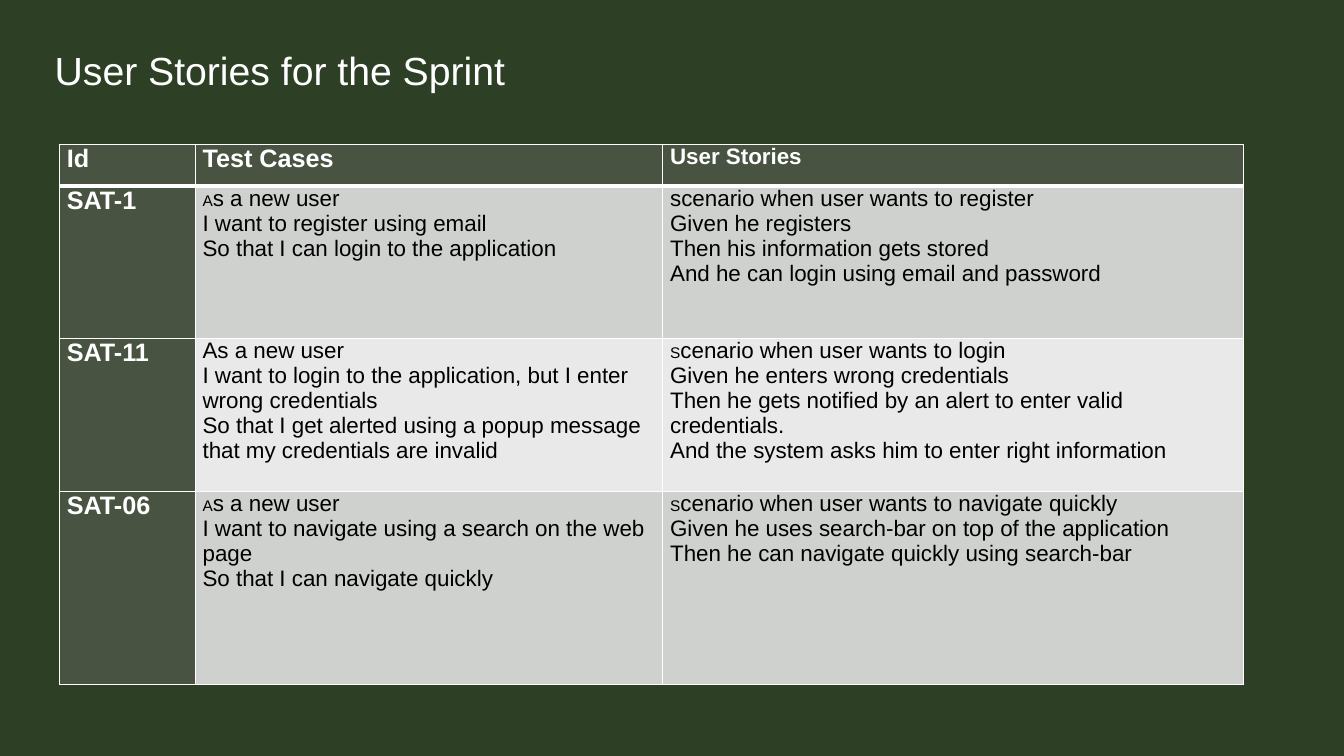
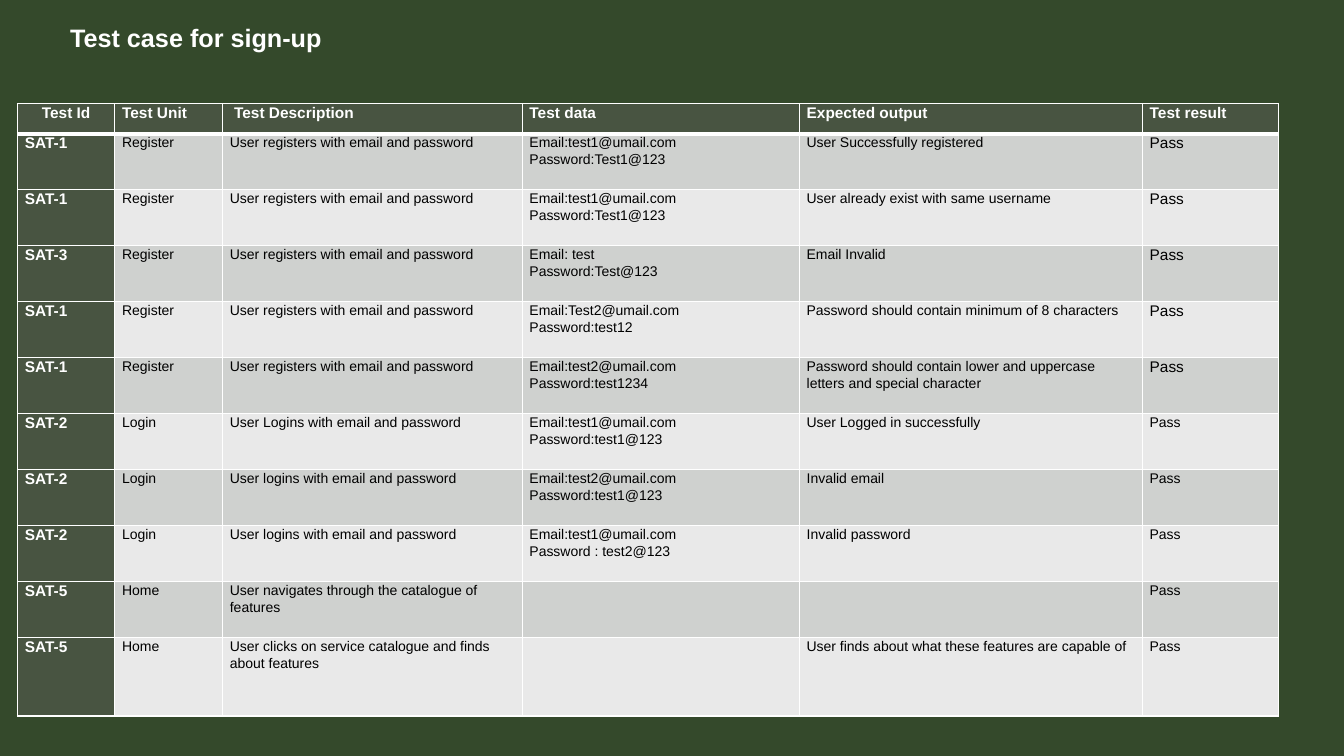
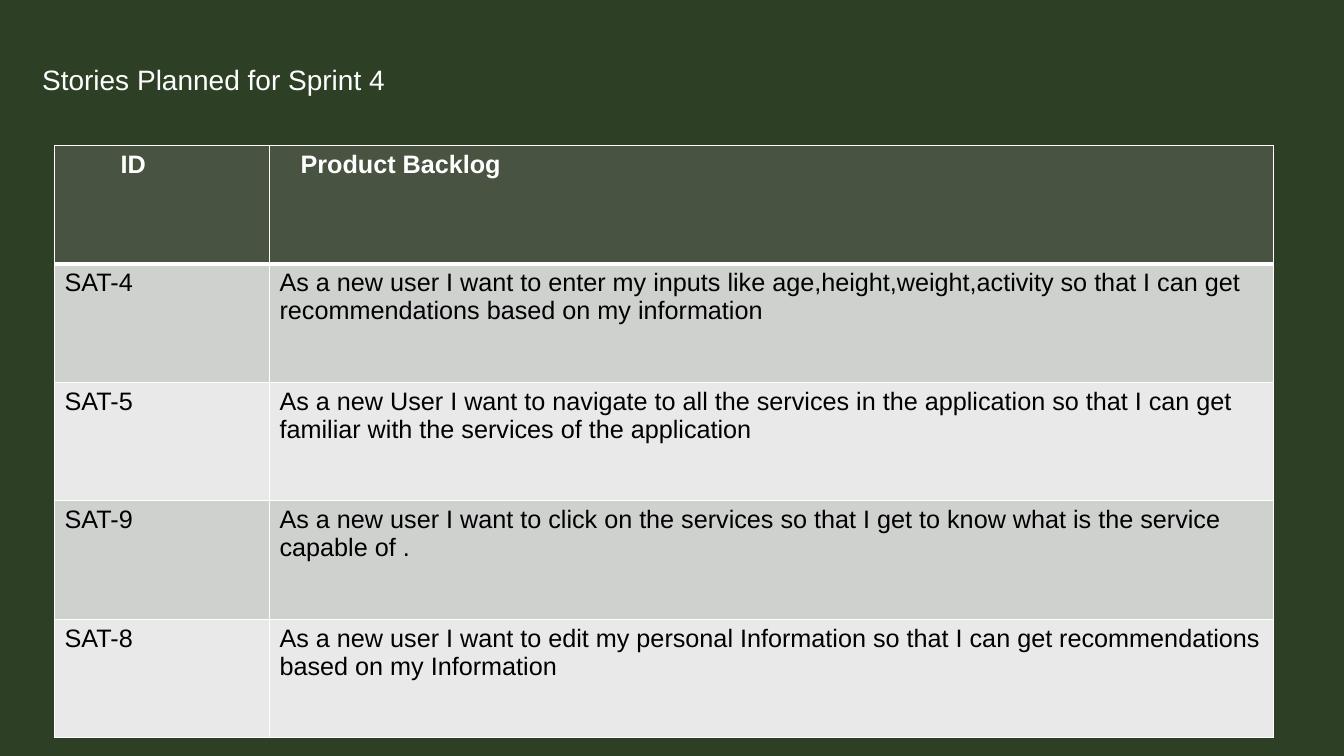
"""Build three sprint slides, each with a heading and a bordered table."""
import dataclasses

import lxml.etree
import pptx
import pptx.dml.color
import pptx.enum.text
import pptx.oxml.ns
import pptx.util

Pt = pptx.util.Pt


@dataclasses.dataclass(frozen=True)
class Theme:
    """Colours and type sizes shared by the slides."""
    font: str = "Arial"
    white: str = "FFFFFF"
    black: str = "000000"
    background: str = "2D3F25"
    background_light: str = "34492B"
    header: str = "485441"
    bands: tuple = ("CFD1CF", "E9E9E9")
    rule: float = 1
    header_rule: float = 3
    title_large: float = 28
    title_medium: float = 20
    title_small: float = 18
    large: float = 18
    medium: float = 16
    small: float = 11
    tiny: float = 10


@dataclasses.dataclass(frozen=True)
class Grid:
    """Geometry and type of one table, with exceptions keyed by (row, column)."""
    columns: tuple
    rows: tuple
    header_size: float
    key_size: float
    body_size: float
    key_column: bool = True
    side_margin: float = 5.25
    end_margin: float = 0
    line_spacing: float = 1
    sizes: dict = dataclasses.field(default_factory=dict)
    indents: dict = dataclasses.field(default_factory=dict)
    centred: tuple = ()


THEME = Theme()

STORIES = [
    ["Id", "Test Cases", "User Stories"],
    ["SAT-1",
     [("A", "s a new user"), "I want to register using email",
      "So that I can login to the application"],
     ["scenario when user wants to register", "Given he registers",
      "Then his information gets stored",
      "And he can login using email and password"]],
    ["SAT-11",
     ["As a new user",
      "I want to login to the application, but I enter wrong credentials",
      "So that I get alerted using a popup message that my credentials are invalid"],
     [("S", "cenario when user wants to login"), "Given he enters wrong credentials",
      "Then he gets notified by an alert to enter valid credentials.",
      "And the system asks him to enter right information"]],
    ["SAT-06",
     [("A", "s a new user"), "I want to navigate using a search on the web page",
      "So that I can navigate quickly"],
     [("S", "cenario when user wants to navigate quickly"),
      "Given he uses search-bar on top of the application",
      "Then he can navigate quickly using search-bar"]],
]

REGISTER = ("Register", "User registers with email and password")
LOGIN = ("Login", "User logins with email and password")

TEST_CASES = [
    ["Test Id", "Test Unit", "Test Description", "Test data", "Expected output", "Test result"],
    ["SAT-1", *REGISTER, ["Email:test1@umail.com", "Password:Test1@123"],
     "User Successfully registered", "Pass"],
    ["SAT-1", *REGISTER, ["Email:test1@umail.com", "Password:Test1@123"],
     "User already exist with same username", "Pass"],
    ["SAT-3", *REGISTER, ["Email: test", "Password:Test@123"], "Email Invalid", "Pass"],
    ["SAT-1", *REGISTER, ["Email:Test2@umail.com", "Password:test12"],
     "Password should contain minimum of 8 characters", "Pass"],
    ["SAT-1", *REGISTER, ["Email:test2@umail.com", "Password:test1234"],
     "Password should contain lower and uppercase letters and special character", "Pass"],
    ["SAT-2", "Login", "User Logins with email and password",
     ["Email:test1@umail.com", "Password:test1@123"], "User Logged in successfully", "Pass"],
    ["SAT-2", *LOGIN, ["Email:test2@umail.com", "Password:test1@123"], "Invalid email", "Pass"],
    ["SAT-2", *LOGIN, ["Email:test1@umail.com", "Password : test2@123"],
     "Invalid password", "Pass"],
    ["SAT-5", "Home", "User navigates through the catalogue of features", "", "", "Pass"],
    ["SAT-5", "Home", "User clicks on service catalogue and finds about features", "",
     "User finds about what these features are capable of", "Pass"],
]

BACKLOG = [
    ["ID", "Product Backlog"],
    ["SAT-4", "As a new user I want to enter my inputs like age,height,weight,activity "
     "so that I can get recommendations based on my information"],
    ["SAT-5", "As a new User I want to navigate to all the services in the application "
     "so that I can get familiar with the services of the application"],
    ["SAT-9", "As a new user I want to click on the services so that I get to know "
     "what is the service capable of ."],
    ["SAT-8", "As a new user I want to edit my personal Information so that I can get "
     "recommendations based on my Information"],
]


def apply_format(target, values):
    """Set each named attribute of the target."""
    for name, value in values.items():
        setattr(target, name, value)


def colour(value):
    """Return the colour object for a hexadecimal string."""
    return pptx.dml.color.RGBColor.from_string(value)


def add_run(paragraph, text, size, bold, text_colour):
    """Append one formatted run to a paragraph."""
    run = paragraph.add_run()
    run.text = text
    apply_format(run.font, {"name": THEME.font, "size": Pt(size), "bold": bold})
    run.font.color.rgb = colour(text_colour)


def add_title(slide, box, text, size, bold=False):
    """Place the slide heading in its box."""
    frame = slide.shapes.add_textbox(*map(Pt, box)).text_frame
    frame.word_wrap = True
    add_run(frame.paragraphs[0], text, size, bold, THEME.white)


def add_borders(cell, widths):
    """Draw white borders of the given widths around a cell."""
    properties = cell._tc.get_or_add_tcPr()
    qualify = pptx.oxml.ns.qn
    for side, width in widths.items():
        line = lxml.etree.SubElement(properties, qualify(f"a:ln{side}"), w=str(Pt(width)))
        fill = lxml.etree.SubElement(line, qualify("a:solidFill"))
        lxml.etree.SubElement(fill, qualify("a:srgbClr"), val=THEME.white)


def fill_cell(cell, content, row, column, grid):
    """Format one table cell and write its lines."""
    is_header = row == 0
    is_key = grid.key_column and column == 0
    strong = is_header or is_key
    size = grid.header_size if is_header else grid.key_size if is_key else grid.body_size
    size = grid.sizes.get((row, column), size)
    text_colour = THEME.white if strong else THEME.black
    add_borders(cell, {
        "L": THEME.rule,
        "R": THEME.rule,
        "T": THEME.header_rule if row == 1 else THEME.rule,
        "B": THEME.header_rule if is_header else THEME.rule,
    })
    cell.fill.solid()
    cell.fill.fore_color.rgb = colour(THEME.header if strong else THEME.bands[(row - 1) % 2])
    apply_format(cell, {
        "margin_left": Pt(grid.side_margin + grid.indents.get((row, column), 0)),
        "margin_right": Pt(grid.side_margin),
        "margin_top": Pt(grid.end_margin),
        "margin_bottom": Pt(grid.end_margin),
    })
    frame = cell.text_frame
    lines = content if isinstance(content, list) else [content]
    for index, line in enumerate(lines):
        paragraph = frame.add_paragraph() if index else frame.paragraphs[0]
        paragraph.line_spacing = grid.line_spacing
        if (row, column) in grid.centred:
            paragraph.alignment = pptx.enum.text.PP_ALIGN.CENTER
        if isinstance(line, tuple):
            initial, line = line
            add_run(paragraph, initial, THEME.small, strong, text_colour)
        if line:
            add_run(paragraph, line, size, strong, text_colour)


def add_grid(slide, left, top, contents, grid):
    """Place a table at the given corner."""
    box = (left, top, sum(grid.columns), sum(grid.rows))
    table = slide.shapes.add_table(len(grid.rows), len(grid.columns), *map(Pt, box)).table
    apply_format(table, {"first_row": False, "horz_banding": False})
    for column, width in zip(table.columns, grid.columns):
        column.width = Pt(width)
    for row, height in zip(table.rows, grid.rows):
        row.height = Pt(height)
    for row, values in enumerate(contents):
        for column, content in enumerate(values):
            fill_cell(table.cell(row, column), content, row, column, grid)


def add_slide(presentation, background):
    """Add a blank slide with a plain background."""
    slide = presentation.slides.add_slide(presentation.slide_layouts[6])
    slide.background.fill.solid()
    slide.background.fill.fore_color.rgb = colour(background)
    return slide


def build_stories(presentation):
    """Build the slide of user stories."""
    slide = add_slide(presentation, THEME.background)
    grid = Grid((97, 334, 415), (30, 109, 109, 138), THEME.large, THEME.large, THEME.medium,
                sizes={(0, 2): THEME.medium})
    add_grid(slide, 42.5, 103, STORIES, grid)
    add_title(slide, (32, 29.5, 341, 41), "User Stories for the Sprint", THEME.title_large)


def build_test_cases(presentation):
    """Build the slide of sign-up test cases."""
    slide = add_slide(presentation, THEME.background_light)
    add_title(slide, (43, 12.5, 207, 29), "Test case for sign-up", THEME.title_small, True)
    grid = Grid((69.5, 77, 214, 198, 245, 97.5), (21.5, *[40] * 9, 56),
                THEME.small, THEME.small, THEME.tiny, line_spacing=1.07,
                sizes={(row, 5): THEME.small for row in range(1, 6)},
                indents={(0, 2): 3}, centred=((0, 0),))
    add_grid(slide, 12.5, 74, TEST_CASES, grid)


def build_backlog(presentation):
    """Build the slide of stories planned next."""
    slide = add_slide(presentation, THEME.background)
    add_title(slide, (23, 41, 374, 32), "Stories Planned for Sprint 4", THEME.title_medium)
    grid = Grid((153.5, 717), (84.65,) * 5, THEME.large, THEME.large, THEME.large,
                key_column=False, side_margin=7.2, end_margin=3.6,
                indents={(0, 0): 40, (0, 1): 15})
    add_grid(slide, 39, 103.75, BACKLOG, grid)


def main():
    """Build and save the presentation."""
    presentation = pptx.Presentation()
    apply_format(presentation, {"slide_width": Pt(960), "slide_height": Pt(540)})
    for build in (build_stories, build_test_cases, build_backlog):
        build(presentation)
    presentation.save("out.pptx")


if __name__ == "__main__":
    main()
